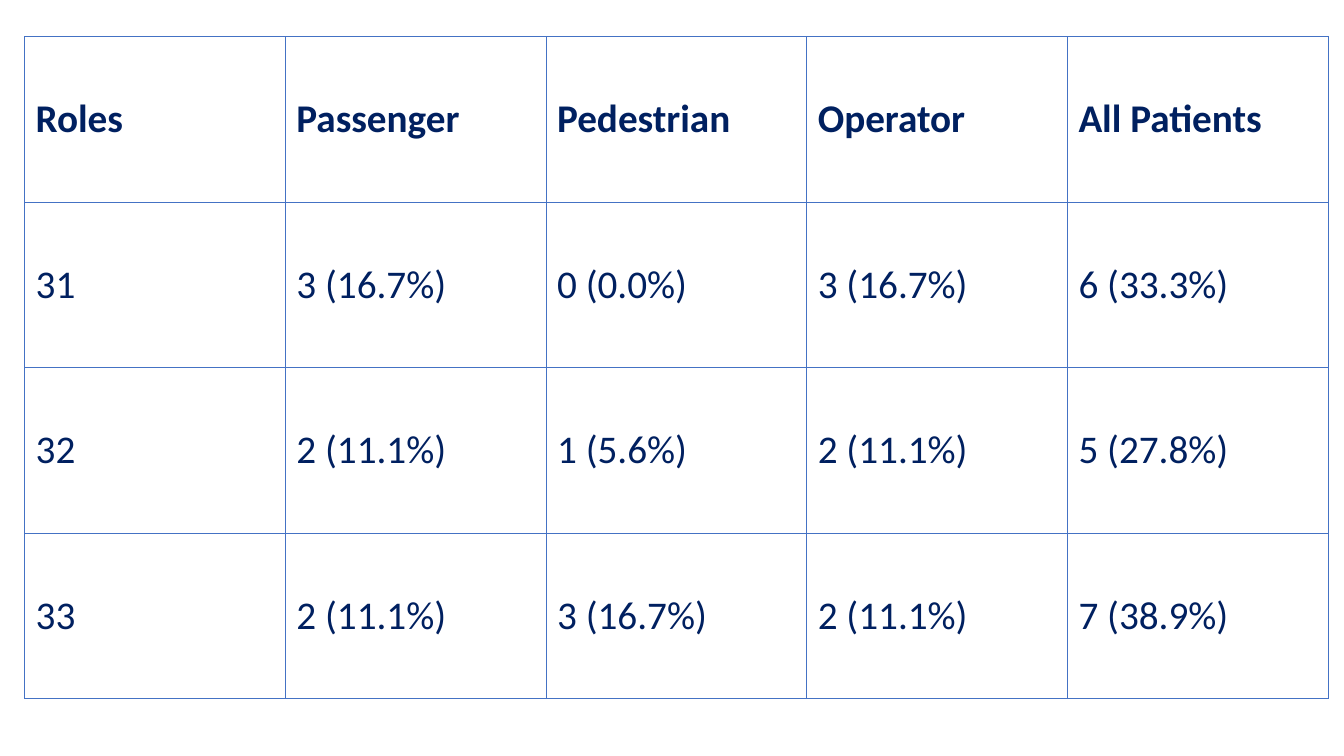
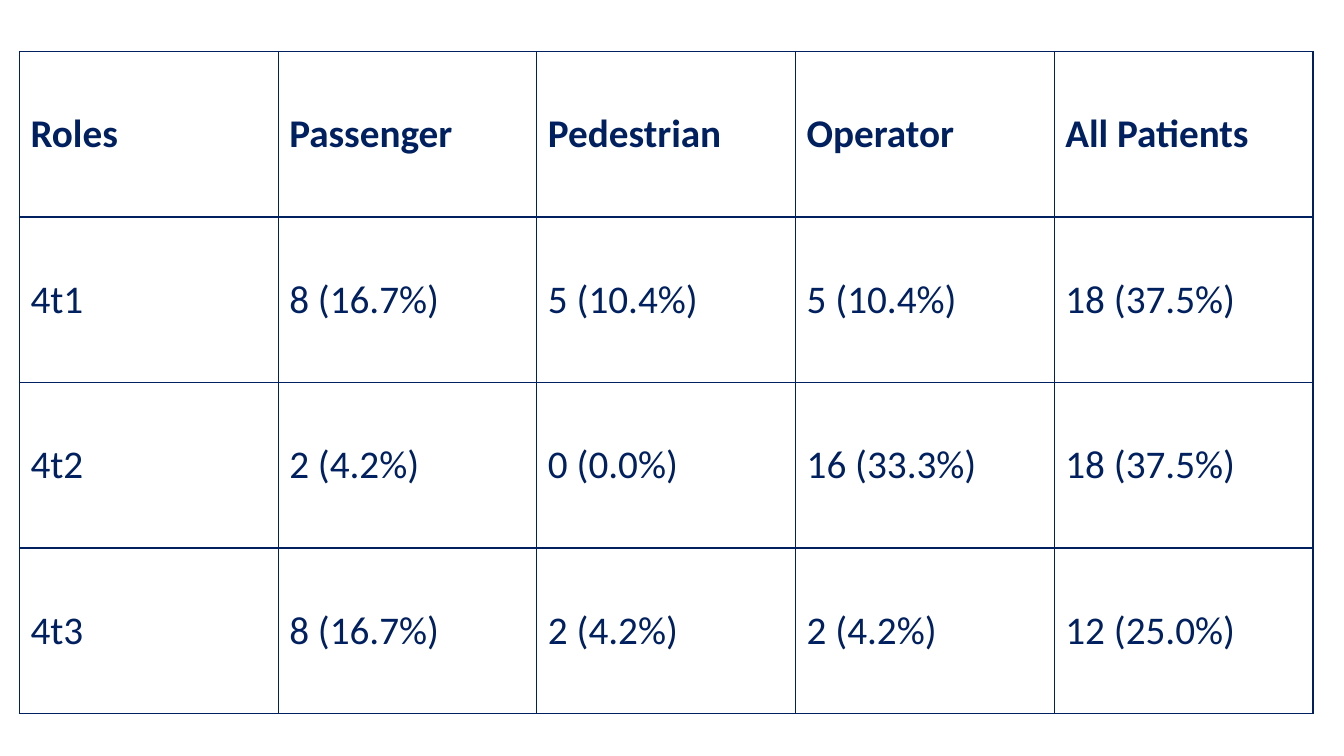
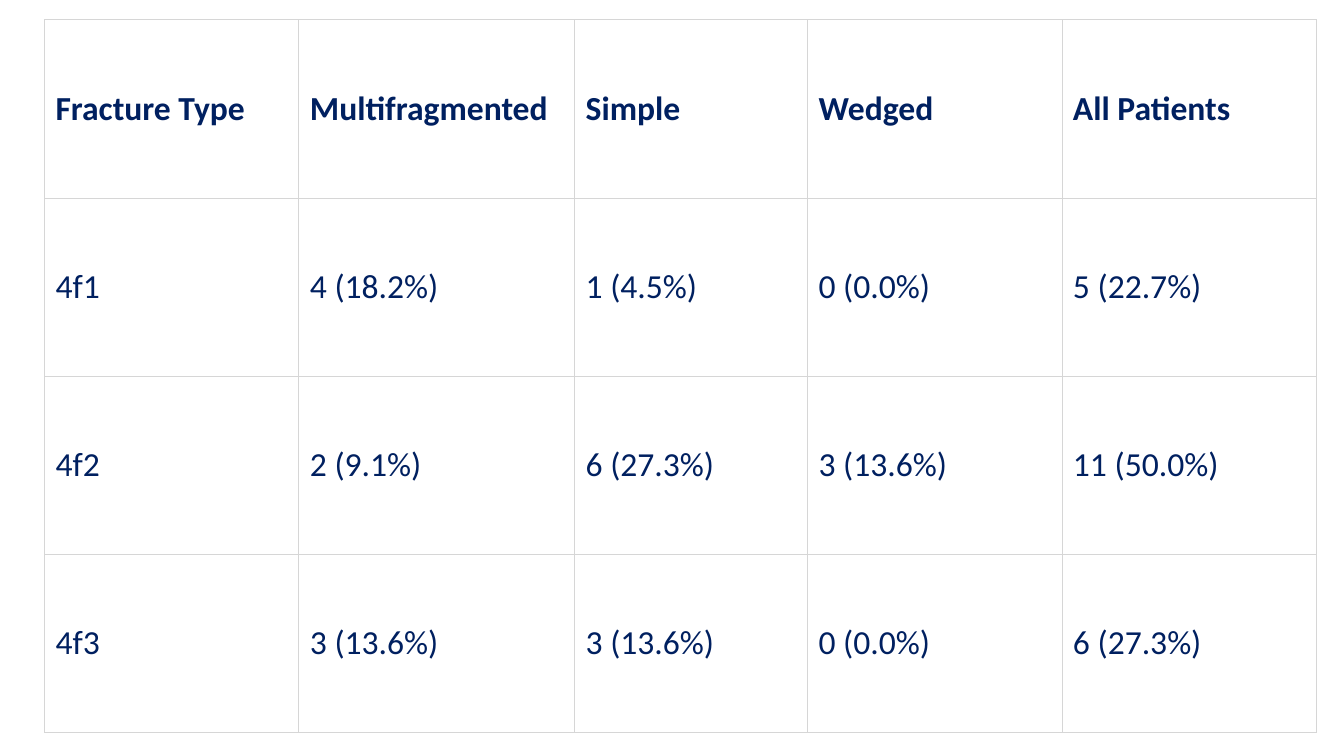
from lxml import etree
from pptx import Presentation
from pptx import util as u
from pptx.dml.color import RGBColor
from pptx.enum import text
from pptx.oxml import ns

NAVY = RGBColor(0x00, 0x20, 0x60)
BLUE = RGBColor(0x44, 0x72, 0xC4)
GREY = RGBColor(0xD6, 0xD6, 0xD6)
WHITE = RGBColor(0xFF, 0xFF, 0xFF)
FONT = "Calibri"
SIDES = ("L", "R", "T", "B")

ROLES = ("Roles", "Passenger", "Pedestrian", "Operator", "All Patients")
FRACTURES = ("Fracture Type", "Multifragmented", "Simple", "Wedged", "All Patients")

# Lengths in centimetres, text sizes and line widths in points
TABLES = [
    dict(
        left=0.62, top=0.92, col_widths=[6.57] * 5, row_height=4.17,
        size=28, line=BLUE, line_width=0.5,
        rows=[
            ROLES,
            ("31", "3 (16.7%)", "0 (0.0%)", "3 (16.7%)", "6 (33.3%)"),
            ("32", "2 (11.1%)", "1 (5.6%)", "2 (11.1%)", "5 (27.8%)"),
            ("33", "2 (11.1%)", "3 (16.7%)", "2 (11.1%)", "7 (38.9%)"),
        ],
    ),
    dict(
        left=0.49, top=1.3, col_widths=[6.52] * 5, row_height=4.17,
        size=28, line=NAVY, line_width=1,
        rows=[
            ROLES,
            ("4t1", "8 (16.7%)", "5 (10.4%)", "5 (10.4%)", "18 (37.5%)"),
            ("4t2", "2 (4.2%)", "0 (0.0%)", "16 (33.3%)", "18 (37.5%)"),
            ("4t3", "8 (16.7%)", "2 (4.2%)", "2 (4.2%)", "12 (25.0%)"),
        ],
    ),
    dict(
        left=1.12, top=0.5, col_widths=[6.41, 6.95, 5.87, 6.41, 6.41], row_height=4.49,
        size=24, line=GREY, line_width=0.6,
        rows=[
            FRACTURES,
            ("4f1", "4 (18.2%)", "1 (4.5%)", "0 (0.0%)", "5 (22.7%)"),
            ("4f2", "2 (9.1%)", "6 (27.3%)", "3 (13.6%)", "11 (50.0%)"),
            ("4f3", "3 (13.6%)", "3 (13.6%)", "0 (0.0%)", "6 (27.3%)"),
        ],
    ),
]


def set_borders(cell, color, width):
    """Draw all four sides; call before the fill, which must follow in the XML."""
    tc_pr = cell._tc.get_or_add_tcPr()
    for side in SIDES:
        ln = etree.SubElement(tc_pr, ns.qn(f"a:ln{side}"), w=str(u.Pt(width)))
        fill = etree.SubElement(ln, ns.qn("a:solidFill"))
        etree.SubElement(fill, ns.qn("a:srgbClr"), val=str(color))


def fill_cell(cell, words, size, bold, line, line_width):
    set_borders(cell, line, line_width)
    cell.fill.solid()
    cell.fill.fore_color.rgb = WHITE
    cell.vertical_anchor = text.MSO_ANCHOR.MIDDLE
    cell.margin_left = cell.margin_right = u.Cm(0.28)
    cell.margin_top = cell.margin_bottom = u.Cm(0.13)
    r = cell.text_frame.paragraphs[0].add_run()
    r.text = words
    r.font.name = FONT
    r.font.size = u.Pt(size)
    r.font.bold = bold
    r.font.color.rgb = NAVY


def add_table(s, left, top, col_widths, row_height, size, line, line_width, rows):
    table = s.shapes.add_table(
        len(rows), len(col_widths), u.Cm(left), u.Cm(top),
        u.Cm(sum(col_widths)), u.Cm(row_height * len(rows)),
    ).table
    table.horz_banding = False
    for column, width in zip(table.columns, col_widths):
        column.width = u.Cm(width)
    for i, row in enumerate(rows):
        table.rows[i].height = u.Cm(row_height)
        for j, words in enumerate(row):
            fill_cell(table.cell(i, j), words, size, i == 0, line, line_width)


def main():
    prs = Presentation()
    prs.slide_width, prs.slide_height = u.Cm(33.87), u.Cm(19.05)
    for table in TABLES:
        add_table(prs.slides.add_slide(prs.slide_layouts[6]), **table)
    prs.save("out.pptx")


if __name__ == "__main__":
    main()
